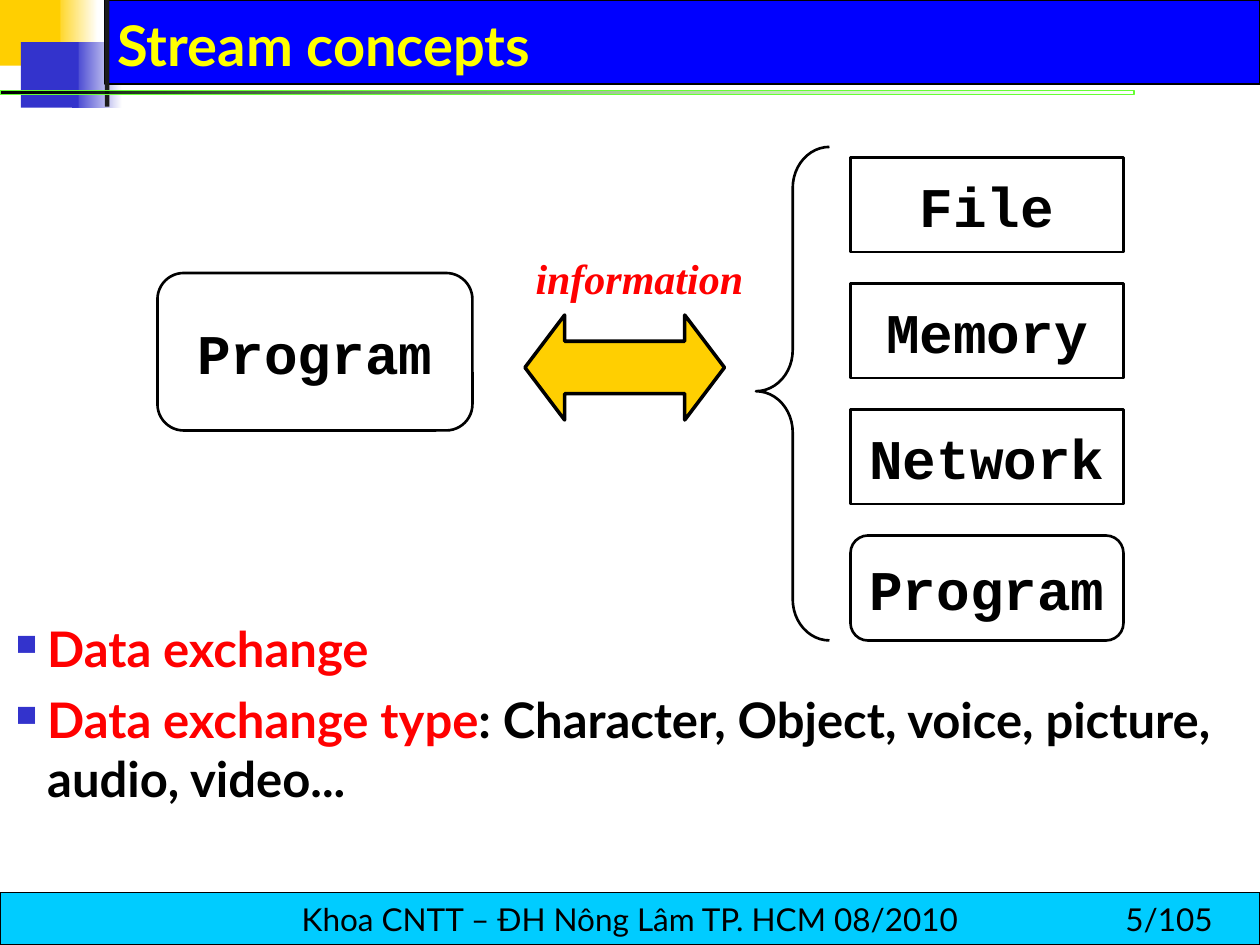
from lxml.etree import SubElement
from pptx import Presentation
from pptx.dml.color import RGBColor
from pptx.enum.shapes import MSO_SHAPE
from pptx.enum.text import MSO_ANCHOR, PP_ALIGN
from pptx.oxml.ns import qn
from pptx.util import Pt

BLACK = RGBColor(0, 0, 0)
WHITE = RGBColor(255, 255, 255)
DARK = RGBColor(0x1C, 0x1C, 0x1C)
GOLD = RGBColor(0xFF, 0xCF, 0x01)
INDIGO = RGBColor(0x33, 0x33, 0xCC)
BLUE = RGBColor(0, 0, 255)
CYAN = RGBColor(0, 0xCC, 255)
GREEN = RGBColor(0x66, 255, 0x33)
YELLOW = RGBColor(255, 255, 0)
RED = RGBColor(255, 0, 0)

RECT = MSO_SHAPE.RECTANGLE
ROUND = MSO_SHAPE.ROUNDED_RECTANGLE


class Deck:
    sans = "Lato"
    mono = "Courier New"
    serif = "Times New Roman"

    def __init__(self):
        self.prs = Presentation()
        self.prs.slide_width, self.prs.slide_height = Pt(720), Pt(540)
        self.slide = self.prs.slides.add_slide(self.prs.slide_layouts[6])

    def shape(self, kind, box, fill=None, line=None, width=0.75, adjust=()):
        item = self.slide.shapes.add_shape(kind, *map(Pt, box))
        item.shadow.inherit = False
        for i, value in enumerate(adjust):
            item.adjustments[i] = value
        if fill is None:
            item.fill.background()
        else:
            item.fill.solid()
            item.fill.fore_color.rgb = fill
        if line is None:
            item.line.fill.background()
        else:
            item.line.color.rgb = line
            item.line.width = Pt(width)
        return item

    def fade(self, box, start, end, alpha=None, **style):
        item = self.shape(RECT, box, **style)
        item.fill.gradient()
        item.fill.gradient_angle = 0
        for stop, color in zip(item.fill.gradient_stops, (start, end)):
            stop.color.rgb = color
        if alpha is not None:
            last = item.element.spPr.findall(".//" + qn("a:gs"))[-1]
            SubElement(last[0], qn("a:alpha"), val=str(alpha * 1000))

    def font(self, run, size, name, color, bold=True, italic=False):
        font = run.font
        font.size, font.name = Pt(size), name
        font.bold, font.italic = bold, italic
        font.color.rgb = color

    def label(self, item, text, size, name, color, bold=True):
        frame = item.text_frame
        frame.word_wrap = False
        frame.vertical_anchor = MSO_ANCHOR.MIDDLE
        frame.text = text
        para = frame.paragraphs[0]
        para.alignment = PP_ALIGN.CENTER
        self.font(para.runs[0], size, name, color, bold)

    def node(self, kind, box, text):
        adjust = (0.167,) if kind == ROUND else ()
        item = self.shape(kind, box, None, BLACK, 1.5, adjust)
        self.label(item, text, 32, self.mono, BLACK)

    def frame(self, box, inset=True):
        frame = self.slide.shapes.add_textbox(*map(Pt, box)).text_frame
        frame.word_wrap = True
        if not inset:
            frame.margin_left = frame.margin_right = 0
            frame.margin_top = frame.margin_bottom = 0
        return frame

    def text(self, box, text, size, name, color, bold=True, italic=False,
             inset=True, anchor=MSO_ANCHOR.TOP):
        frame = self.frame(box, inset)
        frame.vertical_anchor = anchor
        frame.text = text
        self.font(frame.paragraphs[0].runs[0], size, name, color, bold, italic)

    def bullets(self, box, items, size):
        frame = self.frame(box, inset=False)
        for i, parts in enumerate(items):
            para = frame.paragraphs[0] if i == 0 else frame.add_paragraph()
            if i:
                para.space_before = Pt(7)
            props = para._p.get_or_add_pPr()
            props.set("marL", str(Pt(27)))
            props.set("indent", str(-Pt(18)))
            tint = SubElement(props, qn("a:buClr"))
            SubElement(tint, qn("a:srgbClr"), val=str(INDIGO))
            SubElement(props, qn("a:buSzPct"), val="60000")
            SubElement(props, qn("a:buChar"), char="■")
            for text, color in parts:
                run = para.add_run()
                run.text = text
                self.font(run, size, self.sans, color)


def main():
    deck = Deck()

    # Header and corner squares
    deck.fade((30, 0, 26, 37.5), GOLD, WHITE)
    deck.fade((41, 24, 29, 37.5), INDIGO, WHITE)
    deck.shape(RECT, (60, 0, 660, 48), BLUE, BLACK)
    deck.shape(RECT, (0, 0, 34.5, 37.5), GOLD)
    deck.shape(RECT, (12, 24, 33, 37.5), INDIGO)
    deck.shape(RECT, (60, 0, 2.5, 61), DARK)
    deck.fade((0, 51.75, 648, 2.25), BLACK, GREEN, alpha=0, line=GREEN, width=0)
    deck.text((60, 6, 644, 42), "Stream concepts", 32, deck.sans, YELLOW,
              anchor=MSO_ANCHOR.BOTTOM)

    # Footer
    bar = deck.shape(RECT, (0, 510, 720, 30), CYAN, BLACK)
    deck.label(bar, "Khoa CNTT – ĐH Nông Lâm TP. HCM 08/2010", 18,
               deck.sans, BLACK, bold=False)
    deck.text((636, 511, 84, 29), "5/105", 18, deck.sans, BLACK, bold=False)

    # Program and its sources
    deck.node(ROUND, (90, 156, 180, 90), "Program")
    for i, name in enumerate(("File", "Memory", "Network")):
        deck.node(RECT, (486, 90 + 72 * i, 156, 54), name)
    deck.node(ROUND, (486, 306, 156, 60), "Program")
    deck.shape(MSO_SHAPE.LEFT_BRACE, (432, 84, 42, 282), None, BLACK, 1.5,
               (0.56, 0.495))

    # Flow between them
    deck.shape(MSO_SHAPE.LEFT_RIGHT_ARROW, (300, 180, 114, 60), GOLD, BLACK, 2,
               (0.5, 0.378))
    deck.text((306, 144, 126, 29), "information", 24, deck.serif, RED,
              italic=True, inset=False)

    # Key points
    deck.bullets((0, 353.5, 720, 135), (
        [("Data exchange", RED)],
        [("Data exchange type", RED),
         (": Character, Object, voice, picture, audio, video...", BLACK)],
    ), 28)

    deck.prs.save("out.pptx")


if __name__ == "__main__":
    main()
